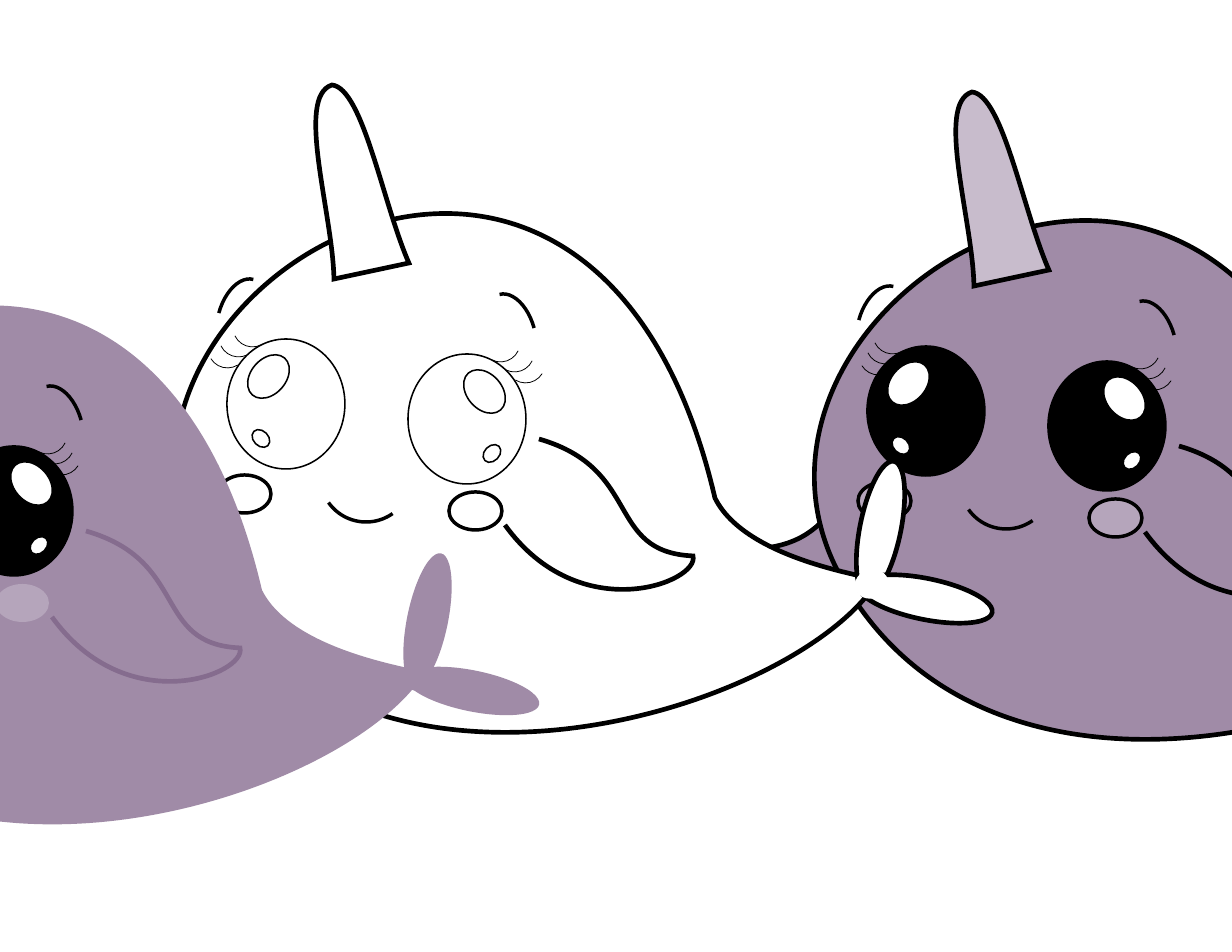
import math

import lxml.etree
import pptx
import pptx.dml.color
import pptx.enum.shapes
import pptx.oxml.ns
import pptx.util

PX = 914400 // 112
COLORS = {"white": "FFFFFF", "black": "000000", "plum": "A08BA7",
          "horn": "C8BCCC", "blush": "B5A5BB", "fin": "856C8E"}
OVAL = pptx.enum.shapes.MSO_SHAPE.OVAL
ARC = pptx.enum.shapes.MSO_SHAPE.ARC
EYE_MIRROR = 753
EYE_RISE = 15

CURVES = {
    "far fin": {"box": (85, 449, 267, 148), "closed": True, "segments": [
        [(85, 541)], [(202, 552), (187, 474), (250, 449)], [(352, 590)],
        [(105, 605), (106, 597), (85, 541)]]},
    "body": {"box": (174, 214, 708, 520), "closed": True, "segments": [
        [(202, 572)], [(47, 297), (590, -37), (715, 498)],
        [(750, 569), (908, 580), (877, 582)], [(795, 711), (356, 848), (202, 572)]]},
    "horn": {"box": (312, 83, 77, 190), "closed": True, "segments": [
        [(334, 279)], [(333, 214), (295, 97), (332, 85)],
        [(363, 88), (383, 204), (409, 263)], [(334, 279)]]},
    "fin": {"box": (506, 447, 192, 141), "closed": False, "segments": [
        [(505, 525)], [(580, 629), (700, 582), (693, 556)],
        [(605, 552), (643, 469), (539, 439)]]},
}

WHALES = [
    {"offset": (640, 7), "body": "plum", "horn": "horn", "eye": "black", "cheek": "blush",
     "pale": None, "outline": "black", "fin": "black", "lashes": (481, 488, 495),
     "whole": True, "tail": False},
    {"offset": (0, 0), "body": "white", "horn": "white", "eye": "white", "cheek": "white",
     "pale": "white", "outline": "black", "fin": "black", "lashes": (481, 495, 506),
     "whole": True, "tail": True},
    {"offset": (-453, 92), "body": "plum", "horn": None, "eye": "black", "cheek": "blush",
     "pale": None, "outline": None, "fin": "fin", "lashes": (481, 488, 495),
     "whole": False, "tail": True},
]


def add_element(parent, tag, **attributes):
    return lxml.etree.SubElement(parent, pptx.oxml.ns.qn(tag), **attributes)


def add_curve(shapes, curve, rotation, offset_x, offset_y):
    left, top, width, height = curve["box"]
    builder = shapes.build_freeform((left + offset_x) * PX, (top + offset_y) * PX, scale=1.0)
    builder.add_line_segments([((left + offset_x + width) * PX, (top + offset_y + height) * PX)],
                              close=False)
    shape = builder.convert_to_shape()
    outline = next(shape.element.iter(pptx.oxml.ns.qn("a:path")))
    for child in list(outline):
        outline.remove(child)
    cosine = math.cos(math.radians(rotation))
    sine = math.sin(math.radians(rotation))
    for index, segment in enumerate(curve["segments"]):
        tag = "a:moveTo" if index == 0 else "a:cubicBezTo" if len(segment) == 3 else "a:lnTo"
        command = add_element(outline, tag)
        for x, y in segment:
            across, down = x - left - width / 2, y - top - height / 2
            add_element(command, "a:pt",
                        x=str(round((width / 2 + across * cosine + down * sine) * PX)),
                        y=str(round((height / 2 - across * sine + down * cosine) * PX)))
    if curve["closed"]:
        add_element(outline, "a:close")
    return shape


presentation = pptx.Presentation()
presentation.slide_width = 1232 * PX
presentation.slide_height = 952 * PX
slide = presentation.slides.add_slide(presentation.slide_layouts[6])

for whale in WHALES:
    body, outline, pale = whale["body"], whale["outline"], whale["pale"]
    parts = []
    if whale["whole"]:
        parts.append(("far fin", None, 0, body, outline, 3, None))
    parts.append(("body", None, 0, body, outline, 3, None))
    if whale["tail"]:
        parts.append((OVAL, (860, 460, 41, 136), 11.4, body, outline, 3, None))
        parts.append((OVAL, (905, 531, 41, 136), 101.5, body, outline, 3, None))
    if whale["whole"]:
        parts.append(("horn", None, 348.2, whale["horn"], outline, 3, None))
    parts.append(("fin", None, 6.5, pale, whale["fin"], 3, None))
    if whale["whole"]:
        parts.append((OVAL, (218, 475, 53, 38), 0, whale["cheek"], outline, 2.25, None))

    right_eye = [(OVAL, (408, 354, 118, 130), 0, whale["eye"], "black", 1, None)]
    for left, top, rotation in zip(whale["lashes"], (323, 333, 344), (115.6, 115.6, 121.6)):
        right_eye.append((ARC, (left, top, 39, 39), rotation, None, "black", 0.5, None))
    right_eye += [
        (OVAL, (460, 374, 49, 35), 48.8, "white", "black", 1, None),
        (OVAL, (482, 446, 20, 15), 314.6, "white", "black", 1, None),
        (ARC, (486, 293, 49, 83), 344.8, pale, "black", 2.25, None),
    ]
    parts += right_eye
    if whale["whole"]:
        for kind, (left, top, width, height), rotation, fill, line, weight, flip in right_eye:
            box = (EYE_MIRROR - left - width, top - EYE_RISE, width, height)
            parts.append((kind, box, -rotation % 360, None if kind == ARC else fill, line, weight, "flipH"))

    parts.append((OVAL, (449, 492, 53, 38), 0, whale["cheek"], outline, 2.25, None))
    if whale["tail"]:
        parts.append((OVAL, (857, 567, 29, 34), 254.4, body, None, 0, "flipV"))
    if whale["whole"]:
        parts.append((ARC, (320, 430, 92, 92), 144.8, pale, "black", 2.25, None))

    group = slide.shapes.add_group_shape()
    offset_x, offset_y = whale["offset"]
    for kind, box, rotation, fill, line, weight, flip in parts:
        if kind in CURVES:
            shape = add_curve(group.shapes, CURVES[kind], rotation, offset_x, offset_y)
        else:
            left, top, width, height = box
            shape = group.shapes.add_shape(kind, (left + offset_x) * PX, (top + offset_y) * PX,
                                           width * PX, height * PX)
        shape.shadow.inherit = False
        shape.rotation = rotation
        if flip:
            shape.element.spPr.xfrm.set(flip, "1")
        if fill:
            shape.fill.solid()
            shape.fill.fore_color.rgb = pptx.dml.color.RGBColor.from_string(COLORS[fill])
        else:
            shape.fill.background()
        if line:
            shape.line.color.rgb = pptx.dml.color.RGBColor.from_string(COLORS[line])
            shape.line.width = pptx.util.Pt(weight)
            add_element(shape.element.spPr.find(pptx.oxml.ns.qn("a:ln")), "a:miter", lim="800000")
        else:
            shape.line.fill.background()

presentation.save("out.pptx")
